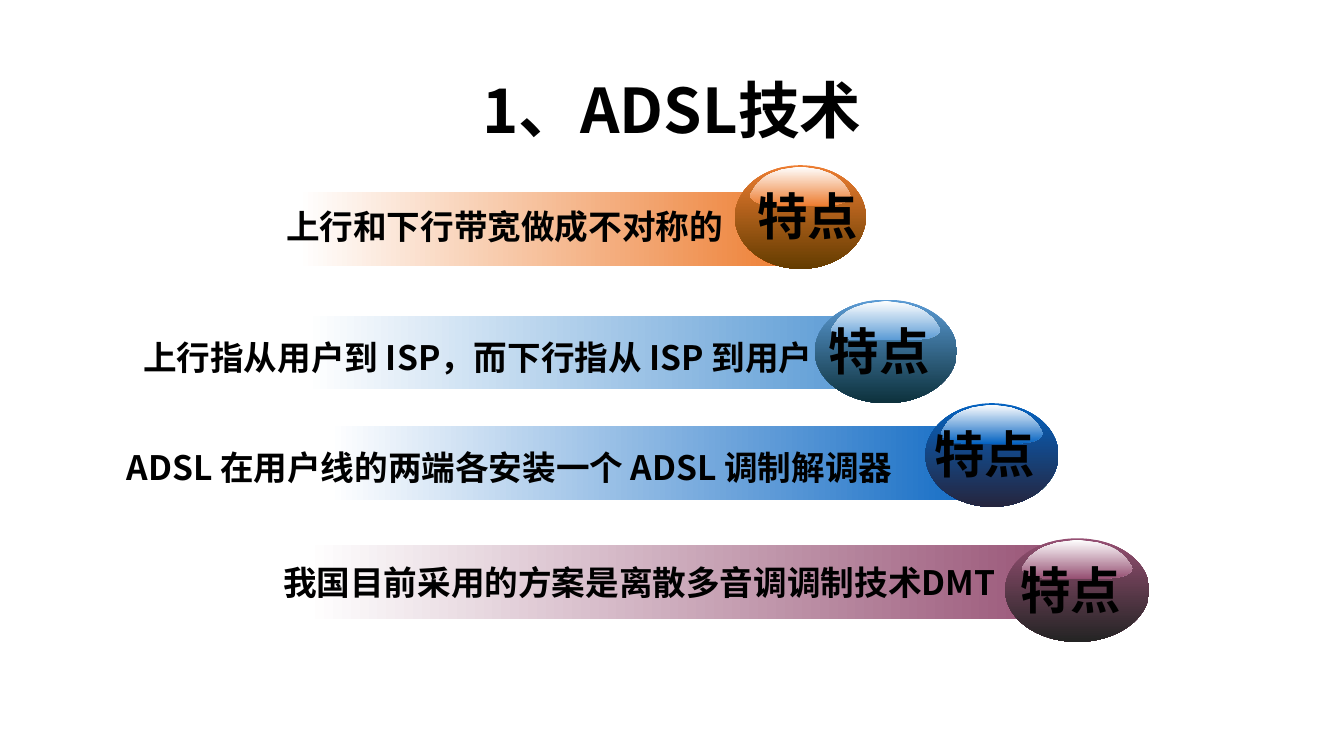
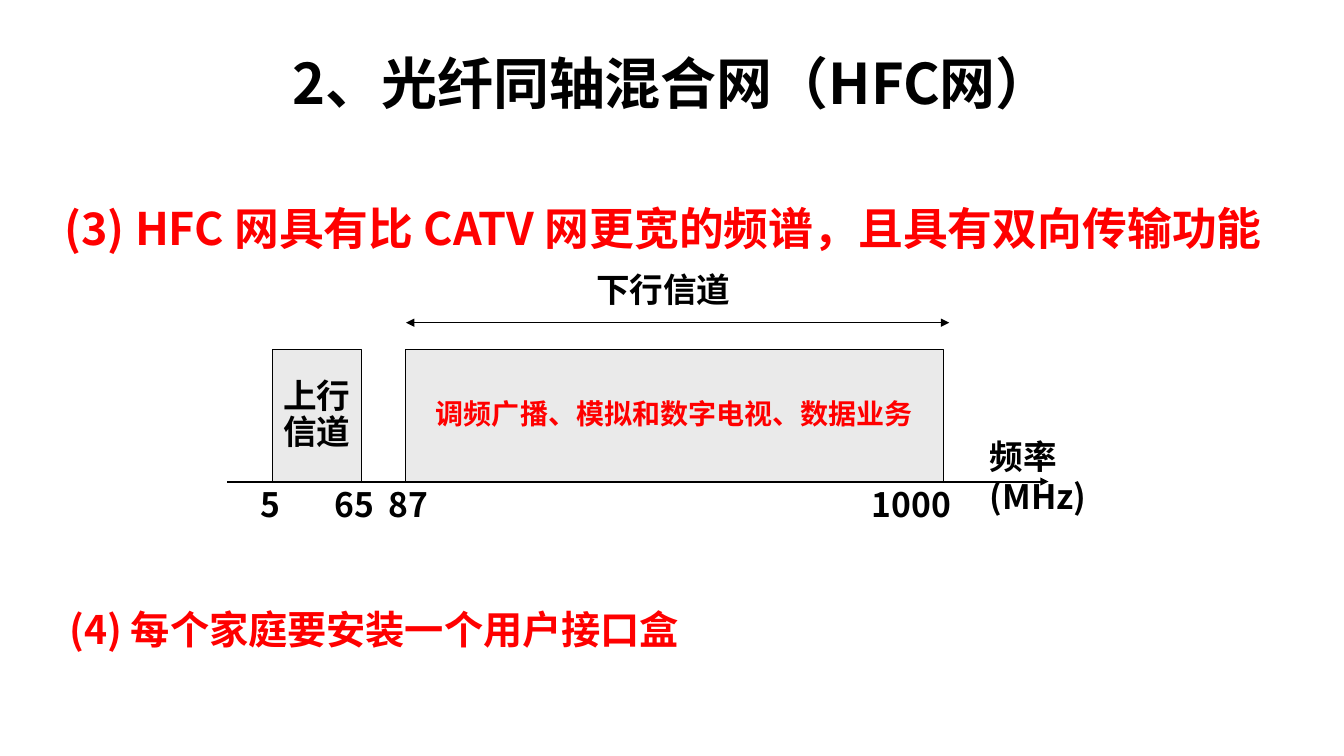
from dataclasses import dataclass

from lxml import etree
from pptx import Presentation
from pptx import util as u
from pptx.dml import color as c
from pptx.enum import shapes, text
from pptx.oxml import ns

# Shared look
FONT = "Noto Sans CJK SC"
BLACK = c.RGBColor(0x00, 0x00, 0x00)
WHITE = c.RGBColor(0xFF, 0xFF, 0xFF)
RED = c.RGBColor(0xFF, 0x00, 0x00)
BAND_GRAY = c.RGBColor(0xEA, 0xEA, 0xEA)
ORANGE = c.RGBColor(0xED, 0x7D, 0x31)
BROWN = c.RGBColor(0x64, 0x3C, 0x00)
SKY = c.RGBColor(0x5B, 0x9B, 0xD5)
TEAL = c.RGBColor(0x0D, 0x31, 0x3C)
BLUE = c.RGBColor(0x05, 0x63, 0xC1)
NAVY = c.RGBColor(0x25, 0x25, 0x3E)
PLUM = c.RGBColor(0x95, 0x4F, 0x72)
CHARCOAL = c.RGBColor(0x24, 0x24, 0x24)

LEFT, CENTER, RIGHT = (text.PP_ALIGN.LEFT, text.PP_ALIGN.CENTER,
                       text.PP_ALIGN.RIGHT)
TOP, MIDDLE, BOTTOM = (text.MSO_ANCHOR.TOP, text.MSO_ANCHOR.MIDDLE,
                       text.MSO_ANCHOR.BOTTOM)
RIGHTWARD, DOWNWARD = 0, 270

# Highlight on a ball: left half, from top to bottom
GLOSS_WIDTH, GLOSS_HEIGHT = 111, 39
GLOSS_HALF = [(55.5, 0), (49, 1), (42, 2), (35, 3), (29, 5), (23, 7), (17, 10),
              (13, 13), (8, 17), (5, 21), (1, 27), (0, 29), (2, 32), (6, 35),
              (12, 37), (20, 38), (29, 39), (40, 39)]


@dataclass
class Feature:
    caption: str
    caption_box: tuple   # left, top, width
    bar_box: tuple       # left, top, width
    ball_box: tuple      # left, top, width
    label_right: float
    light: c.RGBColor
    dark: c.RGBColor
    spacing: float = 1.0


FEATURES = [
    Feature("我国目前采用的方案是离散多音调调制技术DMT", (105, 401, 613),
            (219, 389.5, 556.5), (718, 384.5, 103), 808, PLUM, CHARCOAL, 0.9),
    Feature("上行指从用户到 ISP，而下行指从 ISP 到用户", (67, 237, 520.5),
            (219, 225.5, 396), (582, 214, 101.5), 671, SKY, TEAL),
    Feature("ADSL 在用户线的两端各安装一个 ADSL 调制解调器", (50.5, 316, 594),
            (235.5, 304.5, 491), (661, 288, 95), 746.5, BLUE, NAVY),
    Feature("上行和下行带宽做成不对称的", (157.5, 143.5, 366),
            (213, 137.5, 358.5), (525, 118, 93.5), 620, ORANGE, BROWN),
]


def points(*values):
    return [u.Pt(value) for value in values]


def write(frame, words, size, color=BLACK, align=LEFT, anchor=TOP, spacing=1.0):
    frame.word_wrap = True
    frame.auto_size = text.MSO_AUTO_SIZE.NONE
    frame.vertical_anchor = anchor
    frame.text = words
    for paragraph in frame.paragraphs:
        paragraph.alignment = align
        paragraph.line_spacing = spacing
        font = paragraph.font
        font.name, font.size, font.bold = FONT, u.Pt(size), True
        font.color.rgb = color
        # East Asian characters take their typeface from a:ea
        defaults = paragraph._p.pPr.find(ns.qn("a:defRPr"))
        etree.SubElement(defaults, ns.qn("a:ea"), typeface=FONT)


def add_title(slide, words, size, top, height):
    title = slide.shapes.title
    title.left, title.top, title.width, title.height = points(
        66, top, 828, height)
    write(title.text_frame, words, size, align=CENTER, anchor=MIDDLE,
          spacing=0.9)


def add_words(slide, box, words, size, **style):
    label = slide.shapes.add_textbox(*points(*box))
    write(label.text_frame, words, size, **style)


def fill_gradient(shape, start, end, angle):
    shape.shadow.inherit = False
    shape.line.fill.background()
    shape.fill.gradient()
    shape.fill.gradient_angle = angle
    for stop, color in zip(shape.fill.gradient_stops, (start, end)):
        stop.color.rgb = color


def add_gloss(slide, left, top, width, color):
    mirrored = [(GLOSS_WIDTH - x, y) for x, y in reversed(GLOSS_HALF)]
    outline = GLOSS_HALF + mirrored
    scale = (u.Pt(width) / GLOSS_WIDTH, u.Pt(28) / GLOSS_HEIGHT)
    builder = slide.shapes.build_freeform(*outline[0], scale=scale)
    builder.add_line_segments(outline[1:], close=True)
    gloss = builder.convert_to_shape(u.Pt(left), u.Pt(top))
    fill_gradient(gloss, WHITE, color, DOWNWARD)


def add_feature(slide, feature):
    # Fading bar with a glossy ball at its end
    bar = slide.shapes.add_shape(shapes.MSO_SHAPE.RECTANGLE,
                                 *points(*feature.bar_box, 52.5))
    fill_gradient(bar, WHITE, feature.light, RIGHTWARD)
    ball = slide.shapes.add_shape(shapes.MSO_SHAPE.OVAL,
                                  *points(*feature.ball_box, 74))
    fill_gradient(ball, feature.light, feature.dark, DOWNWARD)
    left, top, width = feature.ball_box
    add_gloss(slide, left + 0.115 * width, top + 1, 0.77 * width, feature.light)
    # Words on the ball and on the bar
    add_words(slide, (feature.label_right - 91, top + 11, 91, 51), "特点", 36,
              align=RIGHT)
    add_words(slide, (*feature.caption_box, 36), feature.caption, 24,
              align=RIGHT, spacing=feature.spacing)


def add_band(slide, left, width, words, size, color):
    band = slide.shapes.add_shape(shapes.MSO_SHAPE.RECTANGLE,
                                  *points(left, 250, width, 94))
    band.shadow.inherit = False
    band.fill.solid()
    band.fill.fore_color.rgb = BAND_GRAY
    band.line.color.rgb = BLACK
    band.line.width = u.Pt(0.75)
    frame = band.text_frame
    frame.margin_left = frame.margin_right = 0
    write(frame, words, size, color, CENTER, MIDDLE, 0.9)


def add_arrow(slide, start, end, y, weight, ends):
    arrow = slide.shapes.add_connector(shapes.MSO_CONNECTOR.STRAIGHT,
                                       *points(start, y, end, y))
    arrow.line.color.rgb = BLACK
    arrow.line.width = u.Pt(weight)
    properties = arrow.element.spPr
    outline = properties.find(ns.qn("a:ln"))
    for end_name in ends:
        etree.SubElement(outline, ns.qn(end_name), type="triangle")
    etree.SubElement(properties, ns.qn("a:effectLst"))


def build_adsl(slide):
    add_title(slide, "1、ADSL技术", 44, 29, 104)
    for feature in FEATURES:
        add_feature(slide, feature)


def build_hfc(slide):
    add_title(slide, "2、光纤同轴混合网（HFC网）", 40, 28, 68)
    add_words(slide, (39, 119.5, 910, 66),
              "(3) HFC 网具有比 CATV 网更宽的频谱，且具有双向传输功能", 32,
              color=RED, anchor=BOTTOM, spacing=0.9)

    # Channels
    add_arrow(slide, 290, 678, 230.5, 0.75, ("a:headEnd", "a:tailEnd"))
    add_words(slide, (417.5, 188.5, 112.5, 36), "下行信道", 24, align=CENTER)
    add_band(slide, 194.5, 63.5, "上行\n信道", 24, BLACK)
    add_band(slide, 289.5, 384.5, "调频广播、模拟和数字电视、数据业务", 20, RED)

    # Frequency axis
    for frequency, middle in (("5", 193.5), ("65", 253), ("87", 292),
                              ("1000", 651)):
        add_words(slide, (middle - 40, 342, 80, 36), frequency, 24,
                  align=CENTER)
    add_words(slide, (700, 307.5, 100, 66), "频率(MHz)", 24)
    add_arrow(slide, 162.5, 749, 344, 1.5, ("a:tailEnd",))

    add_words(slide, (42.5, 428.5, 483, 41), "(4) 每个家庭要安装一个用户接口盒",
              28, color=RED)


def main():
    deck = Presentation()
    deck.slide_width, deck.slide_height = points(960, 540)
    title_only = deck.slide_layouts[5]
    for build in (build_adsl, build_hfc):
        build(deck.slides.add_slide(title_only))
    deck.save("out.pptx")


main()
